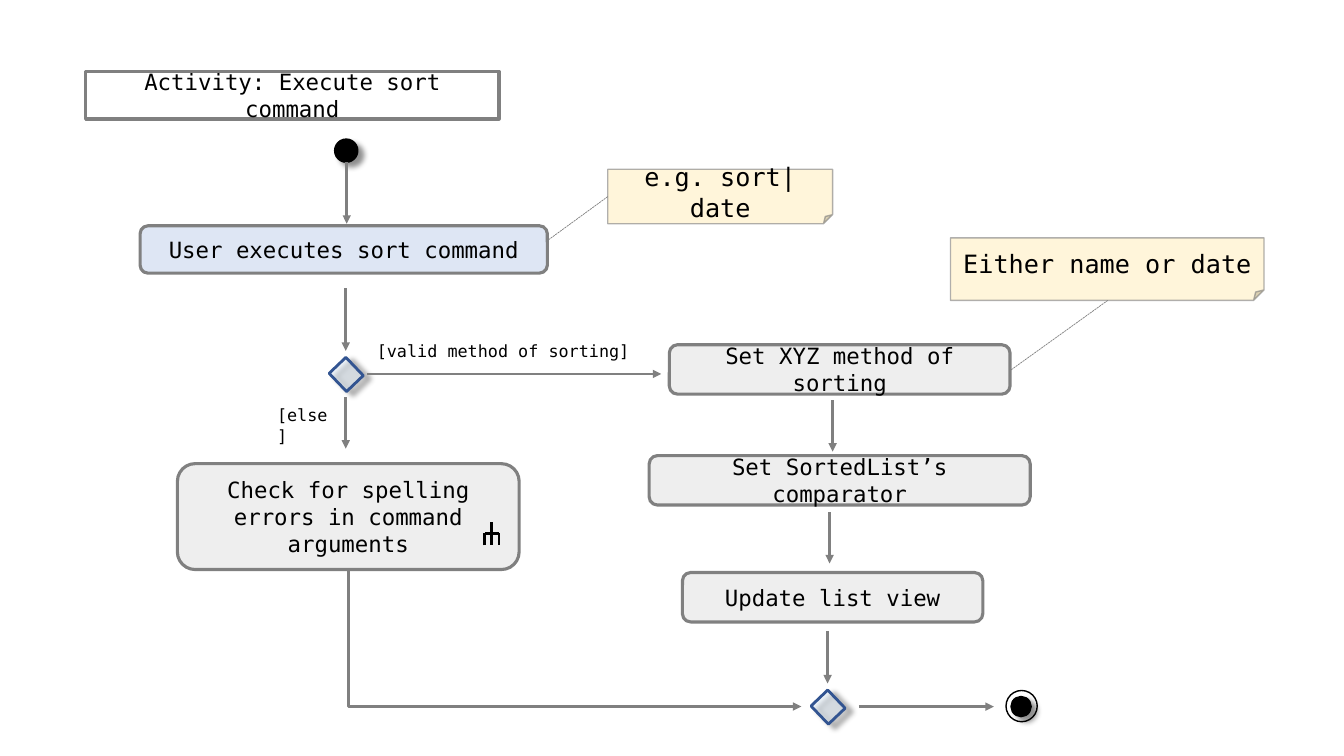
from lxml.etree import SubElement
from pptx import Presentation
from pptx.dml.color import RGBColor
from pptx.enum.dml import MSO_LINE
from pptx.enum.shapes import MSO_CONNECTOR, MSO_SHAPE
from pptx.enum.text import MSO_ANCHOR, MSO_AUTO_SIZE, PP_ALIGN
from pptx.oxml.ns import qn
from pptx.util import Inches, Pt

# Grid: square cells, 133.33 columns by 75 rows
CELL = Inches(0.1)
COLS, ROWS = 133.33, 75
FONT = "DejaVu Sans Mono"
BLACK = RGBColor(0x00, 0x00, 0x00)
WHITE = RGBColor(0xFF, 0xFF, 0xFF)
GREY = RGBColor(0x80, 0x80, 0x80)
SILVER = RGBColor(0xD9, 0xD9, 0xD9)
BLUE = RGBColor(0xB4, 0xC7, 0xE7)
PALE = RGBColor(0xDE, 0xEB, 0xF7)
NAVY = RGBColor(0x32, 0x54, 0x91)
CREAM = RGBColor(0xFF, 0xF2, 0xCC)


def grid(*cells):
    return [round(n * CELL) for n in cells]


def fade(node, share):
    """Set the opacity, in percent, of the colour inside a node."""
    color = next(node.iter(qn("a:srgbClr")))
    SubElement(color, qn("a:alpha"), val=str(share * 1000))


def put(shape, text, size=16, align=PP_ALIGN.CENTER, anchor=MSO_ANCHOR.MIDDLE,
        fit=MSO_AUTO_SIZE.NONE):
    frame = shape.text_frame
    frame.word_wrap = True
    frame.auto_size = fit
    frame.vertical_anchor = anchor
    para = frame.paragraphs[0]
    para.alignment = align
    para.line_spacing = 1.0
    run = para.add_run()
    run.text = text
    run.font.name, run.font.size = FONT, Pt(size)
    run.font.color.rgb = BLACK


def paint(shape, fill=None, line=GREY, width=2.25, solid=100, edge=100):
    shape.shadow.inherit = False
    if fill is None:
        shape.fill.background()
    else:
        shape.fill.solid()
        shape.fill.fore_color.rgb = fill
    shape.line.color.rgb = line
    shape.line.width = Pt(width)
    props = shape.element.spPr
    if solid < 100:
        fade(props.find(qn("a:solidFill")), solid)
    if edge < 100:
        fade(props.find(qn("a:ln")), edge)


def shade(shape, angle):
    effect = shape.element.spPr.find(qn("a:effectLst"))
    drop = SubElement(effect, qn("a:outerShdw"), blurRad=str(Pt(4)),
                      dist=str(Pt(5)), dir=str(angle * 60000),
                      algn="tl", rotWithShape="0")
    SubElement(drop, qn("a:srgbClr"), val=str(BLACK))
    fade(drop, 43)


def step(shapes, text, box, fill=SILVER):
    shape = shapes.add_shape(MSO_SHAPE.ROUNDED_RECTANGLE, *grid(*box))
    paint(shape, fill, solid=44)
    put(shape, text)


def note(shapes, text, box):
    shape = shapes.add_shape(MSO_SHAPE.FOLDED_CORNER, *grid(*box))
    paint(shape, CREAM, width=1, solid=72, edge=62)
    put(shape, text, size=18)


def label(shapes, text, box):
    shape = shapes.add_textbox(*grid(*box))
    put(shape, text, size=12, align=PP_ALIGN.LEFT, anchor=MSO_ANCHOR.TOP,
        fit=MSO_AUTO_SIZE.SHAPE_TO_FIT_TEXT)


def dot(shapes, x, y, size, fill=BLACK):
    shape = shapes.add_shape(MSO_SHAPE.OVAL, *grid(x, y, size, size))
    paint(shape, fill, BLACK, 1)
    if fill is not None:
        shade(shape, 40)


def branch(shapes, x, y):
    shape = shapes.add_shape(MSO_SHAPE.RECTANGLE, *grid(x, y, 2.3, 2.5))
    shape.rotation = 316.3
    paint(shape, PALE, NAVY, 2, solid=46)
    shade(shape, 29)


def link(shapes, start, end, color=GREY, width=2, arrow=False, dash=None,
         kind=MSO_CONNECTOR.STRAIGHT):
    wire = shapes.add_connector(kind, *grid(*start, *end))
    wire.line.color.rgb = color
    wire.line.width = Pt(width)
    if dash:
        wire.line.dash_style = dash
    props = wire.element.spPr
    if arrow:
        SubElement(props.find(qn("a:ln")), qn("a:tailEnd"), type="triangle")
    SubElement(props, qn("a:effectLst"))
    return wire


def bend(shapes, start, end):
    """Arrow that runs down, then right: a one-corner elbow, turned."""
    wire = link(shapes, start, end, arrow=True, kind=MSO_CONNECTOR.ELBOW)
    (x, y), (wide, high) = start, (end[0] - start[0], end[1] - start[1])
    shift = (wide - high) / 2
    wire.left, wire.top, wire.width, wire.height = grid(
        x + shift, y - shift, high, wide)
    props = wire.element.spPr
    props.find(qn("a:prstGeom")).set("prst", "bentConnector2")
    frame = props.find(qn("a:xfrm"))
    frame.set("rot", str(270 * 60000))
    frame.set("flipH", "1")


def fork(shapes, x, y):
    """Rake sign of a nested activity."""
    left, right, bar, foot = x - 0.7, x + 0.7, y + 1.1, y + 2.3
    for start, end in (((left, foot), (left, bar)), ((left, bar), (right, bar)),
                       ((right, bar), (right, foot)), ((x, y), (x, foot))):
        link(shapes, start, end, color=BLACK)


def head(shape, text, box):
    shape.left, shape.top, shape.width, shape.height = grid(*box)
    geom = SubElement(shape.element.spPr, qn("a:prstGeom"), prst="roundRect")
    SubElement(geom, qn("a:avLst"))
    paint(shape, WHITE, width=2.5, solid=44)
    put(shape, text)


def main():
    deck = Presentation()
    deck.slide_width, deck.slide_height = grid(COLS, ROWS)
    slide = deck.slides.add_slide(deck.slide_layouts[5])
    shapes = slide.shapes
    head(shapes.title, "Activity: Execute sort command", (8.5, 7.1, 41, 4.7))

    # Start, branch and merge
    dot(shapes, 33.2, 13.8, 2.3)
    branch(shapes, 33.2, 35.9)
    branch(shapes, 81, 68.9)

    # Steps
    step(shapes, "User executes sort command", (13.9, 22.4, 40.4, 4.7), BLUE)
    for text, x, y, wide in (
            ("Set XYZ method of sorting", 66.4, 34.2, 33.8),
            ("Set SortedList’s comparator", 64.4, 45.2, 37.8),
            ("Update list view", 67.7, 56.8, 29.8)):
        step(shapes, text, (x, y, wide, 4.9))

    # Nested activity
    nest = shapes.add_group_shape().shapes
    step(nest, "Check for spelling errors in command arguments",
         (17.6, 46, 33.9, 10.5))
    fork(nest, 48.8, 51.8)

    # End
    ring = shapes.add_group_shape().shapes
    dot(ring, 99.8, 68.5, 3.1, None)
    dot(ring, 100.3, 69.1, 2)

    # Arrows down, then right, then the bent one
    for x, y, high in ((34.4, 16.1, 6.1), (34.3, 28.6, 6.2), (34.3, 39.4, 5.1),
                       (82.6, 39.7, 5.1), (82.3, 50.8, 5.1), (82.1, 62.6, 5.2)):
        link(shapes, (x, y), (x, y + high), arrow=True)
    for x, y, wide in ((36.4, 37.1, 29.2), (85.2, 70.1, 13.4)):
        link(shapes, (x, y), (x + wide, y), arrow=True)
    bend(shapes, (34.6, 56.5), (79.5, 70.1))

    # Guards
    label(shapes, "[else]", (26.5, 39.7, 7.9, 3))
    label(shapes, "[valid method of sorting]", (36.4, 33.3, 28, 3))

    # Notes and their links
    note(shapes, "e.g. sort|date", (60.3, 16.8, 22.3, 5.4))
    note(shapes, "Either name or date", (94.3, 23.6, 31.1, 6.2))
    for start, end in (((54.4, 23.8), (60.3, 19.5)),
                       ((100.3, 36.7), (109.9, 29.8))):
        link(shapes, start, end, width=0.5, dash=MSO_LINE.SQUARE_DOT)

    deck.save("out.pptx")


main()
